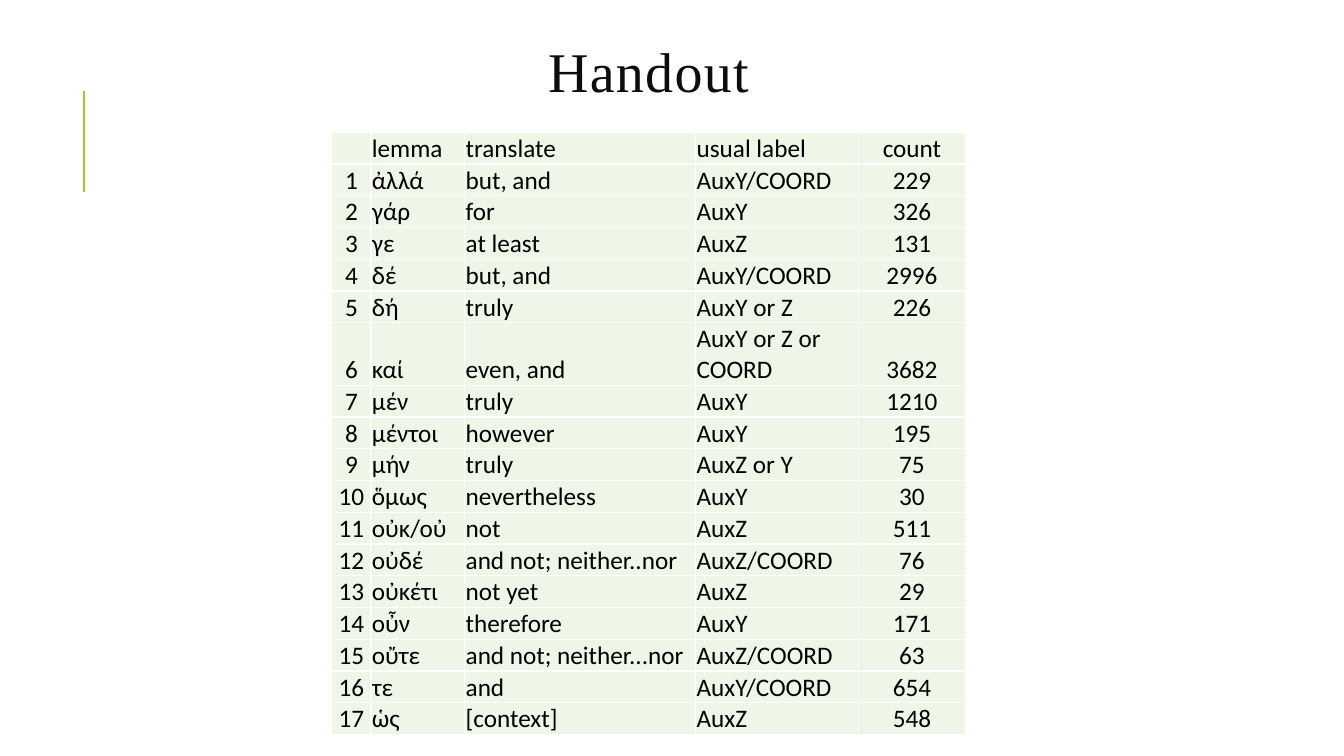
import pptx
import pptx.dml.color
import pptx.enum.shapes
import pptx.enum.text
import pptx.oxml
import pptx.oxml.ns
import pptx.util

Pt = pptx.util.Pt
RGBColor = pptx.dml.color.RGBColor
PP_ALIGN = pptx.enum.text.PP_ALIGN
MSO_ANCHOR = pptx.enum.text.MSO_ANCHOR

# Content
TITLE = "Handout"
HEADER = ("", "lemma", "translate", "usual label", "count")
PARTICLES = [
    ("ἀλλά", "but, and", "AuxY/COORD", 229),
    ("γάρ", "for", "AuxY", 326),
    ("γε", "at least", "AuxZ", 131),
    ("δέ", "but, and", "AuxY/COORD", 2996),
    ("δή", "truly", "AuxY or Z", 226),
    ("καί", "even, and", "AuxY or Z or COORD", 3682),
    ("μέν", "truly", "AuxY", 1210),
    ("μέντοι", "however", "AuxY", 195),
    ("μήν", "truly", "AuxZ or Y", 75),
    ("ὅμως", "nevertheless", "AuxY", 30),
    ("οὐκ/οὐ", "not", "AuxZ", 511),
    ("οὐδέ", "and not; neither..nor", "AuxZ/COORD", 76),
    ("οὐκέτι", "not yet", "AuxZ", 29),
    ("οὖν", "therefore", "AuxY", 171),
    ("οὔτε", "and not; neither...nor", "AuxZ/COORD", 63),
    ("τε", "and", "AuxY/COORD", 654),
    ("ὡς", "[context]", "AuxZ", 548),
]

# Style
BLACK = RGBColor(0x00, 0x00, 0x00)
TITLE_INK = RGBColor(0x0D, 0x0D, 0x0D)
WHITE = RGBColor(0xFF, 0xFF, 0xFF)
PALE_GREEN = RGBColor(0xEF, 0xF6, 0xE8)
GREEN = RGBColor(0x99, 0xCB, 0x38)
COLUMN_WIDTHS = (28, 67, 165, 116, 77)
CENTERED_COLUMNS = (0, 4)
ROW_HEIGHT = 22.1
TWO_LINE_ROW = 6


def add_borders(cell):
    properties = cell._tc.get_or_add_tcPr()
    for side in ("lnL", "lnR", "lnT", "lnB"):
        properties.append(pptx.oxml.parse_xml(
            f'<a:{side} {pptx.oxml.ns.nsdecls("a")} w="{Pt(1)}"><a:solidFill>'
            f'<a:srgbClr val="{WHITE}"/></a:solidFill></a:{side}>'))


def format_cell(cell, text, centered):
    add_borders(cell)
    cell.fill.solid()
    cell.fill.fore_color.rgb = PALE_GREEN
    cell.margin_left = cell.margin_right = cell.margin_top = Pt(0.7)
    cell.margin_bottom = 0
    cell.vertical_anchor = MSO_ANCHOR.BOTTOM
    cell.text_frame.text = text
    paragraph = cell.text_frame.paragraphs[0]
    paragraph.alignment = PP_ALIGN.CENTER if centered else PP_ALIGN.LEFT
    for run in paragraph.runs:
        run.font.name = "Calibri"
        run.font.size = Pt(18)
        run.font.color.rgb = BLACK


presentation = pptx.Presentation()
presentation.slide_width = Pt(960)
presentation.slide_height = Pt(540)
slide = presentation.slides.add_slide(presentation.slide_layouts[5])

# Accent line
accent = slide.shapes.add_connector(
    pptx.enum.shapes.MSO_CONNECTOR.STRAIGHT, Pt(60), Pt(137), Pt(60), Pt(65))
accent.line.color.rgb = GREEN
accent.line.width = Pt(1.5)
accent._element.spPr.append(
    pptx.oxml.parse_xml(f'<a:effectLst {pptx.oxml.ns.nsdecls("a")}/>'))

# Title
title = slide.shapes.title
title.left, title.top, title.width, title.height = Pt(80.6), Pt(26), Pt(765.4), Pt(57)
title.text_frame.text = TITLE
title.text_frame.word_wrap = True
title.text_frame.vertical_anchor = MSO_ANCHOR.MIDDLE
paragraph = title.text_frame.paragraphs[0]
paragraph.alignment = PP_ALIGN.CENTER
paragraph.line_spacing = 0.8
run = paragraph.runs[0]
run.font.name = "Times New Roman"
run.font.size = Pt(40)
run.font.color.rgb = TITLE_INK
run._r.get_or_add_rPr().set("spc", "100")

# Particle table, numbered from 1
rows = [HEADER] + [(number, *particle) for number, particle in enumerate(PARTICLES, 1)]
heights = [ROW_HEIGHT * (2 if index == TWO_LINE_ROW else 1) for index in range(len(rows))]
table = slide.shapes.add_table(
    len(rows), len(HEADER), Pt(237), Pt(94.5), Pt(sum(COLUMN_WIDTHS)), Pt(sum(heights))).table
table.first_row = False
table.horz_banding = False
for column, width in zip(table.columns, COLUMN_WIDTHS):
    column.width = Pt(width)
for row_index, (values, height) in enumerate(zip(rows, heights)):
    table.rows[row_index].height = Pt(height)
    for column_index, value in enumerate(values):
        format_cell(table.cell(row_index, column_index), str(value),
                    column_index in CENTERED_COLUMNS)

presentation.save("out.pptx")
